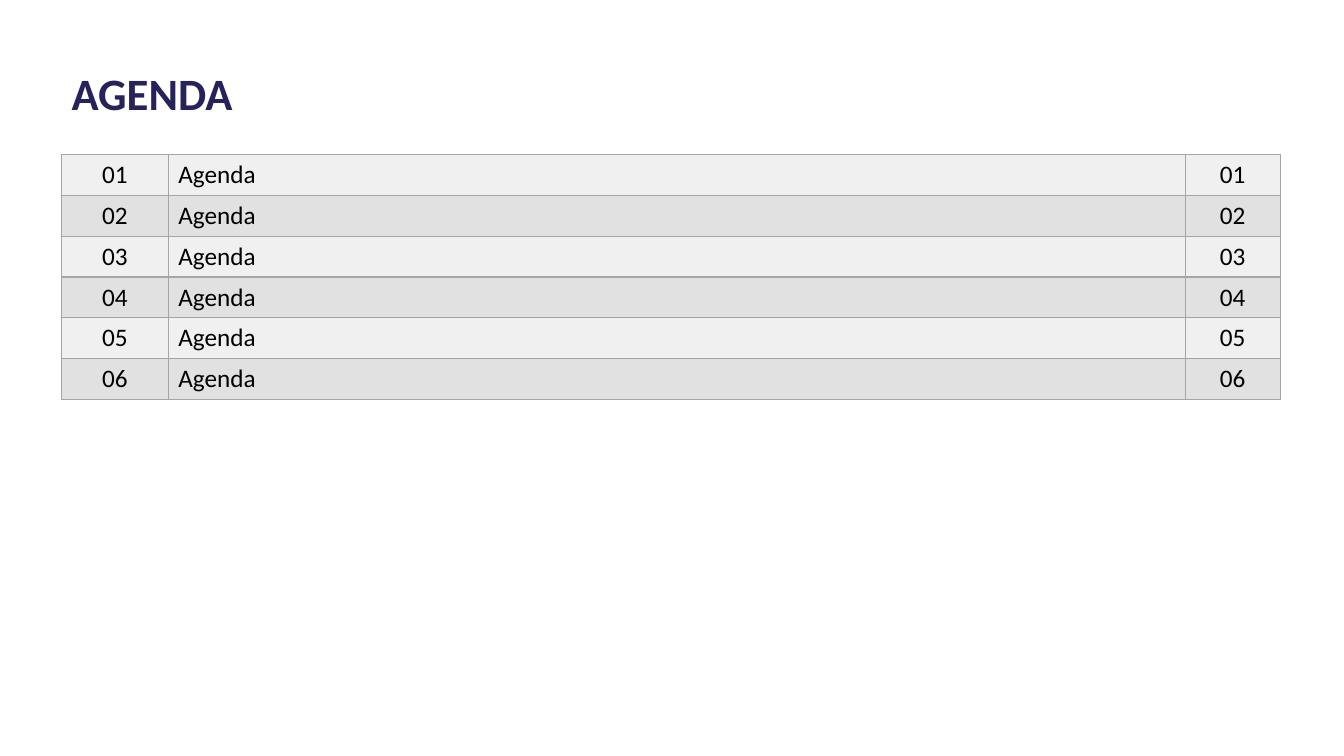
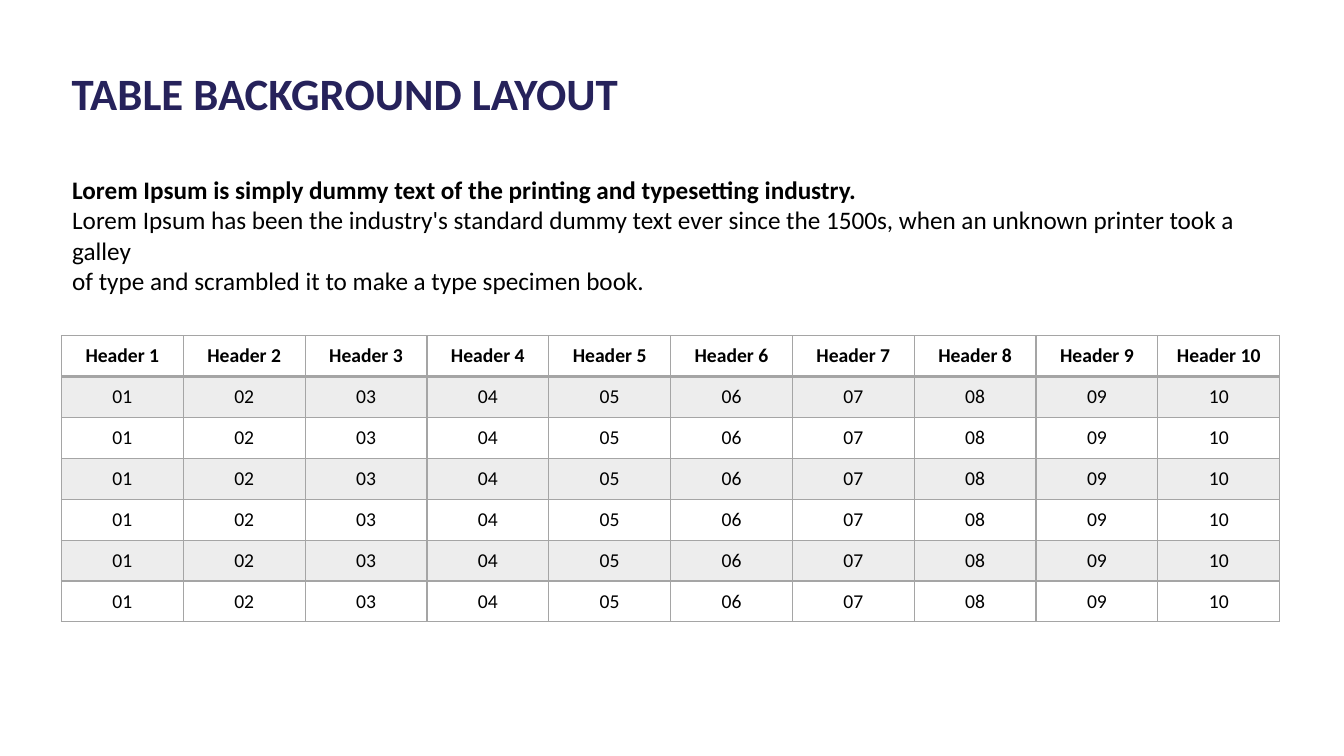
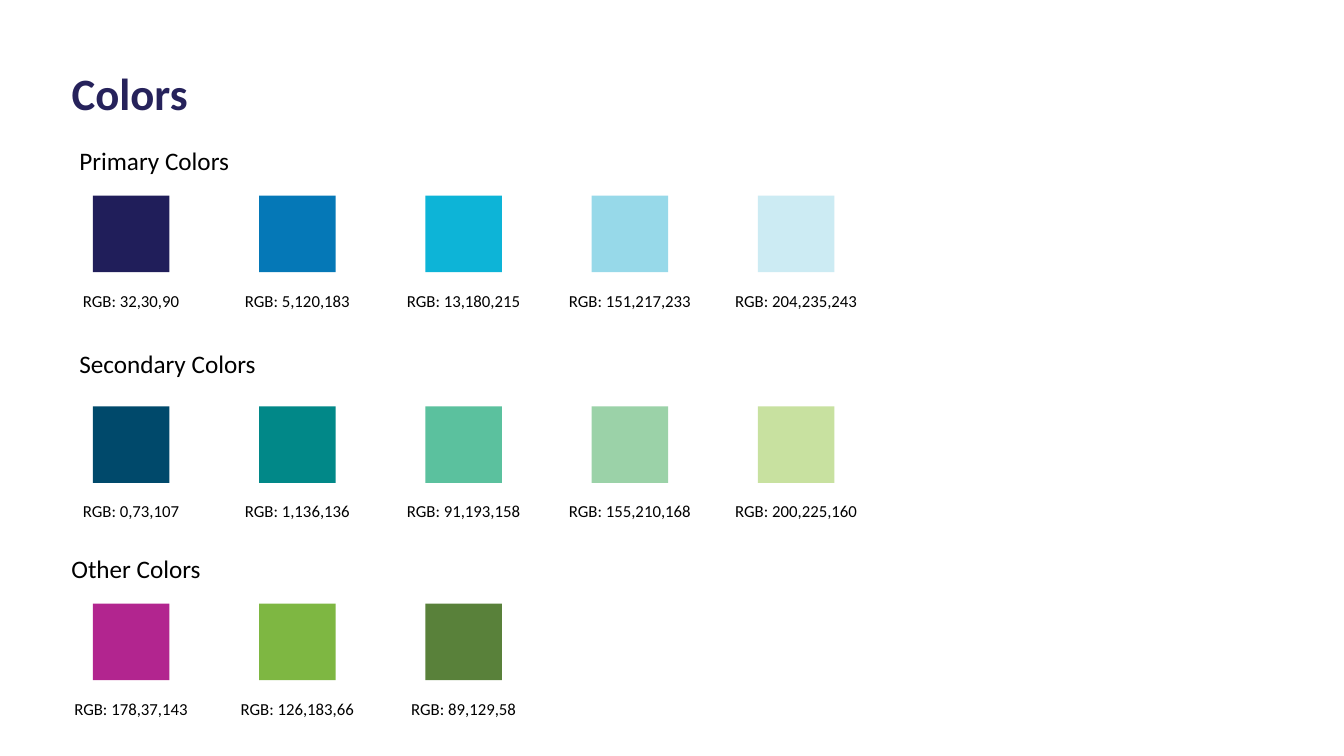
from dataclasses import dataclass

from lxml import etree
from pptx import Presentation
from pptx import util as u
from pptx.dml.color import RGBColor
from pptx.enum import shapes, text
from pptx.oxml import ns
from pptx.slide import Slide
from pptx.table import Table, _Cell
from pptx.text.text import TextFrame

FONT = "Calibri"
COLORS = {
    "title": "26225B",
    "text": "000000",
    "border": "A5A5A5",
    "band_light": "F0F0F0",
    "band_dark": "E1E1E1",
    "navy": "201E5A",
    "blue": "0578B7",
    "cyan": "0DB4D7",
    "sky": "97D9E9",
    "ice": "CCEBF3",
    "petrol": "00496B",
    "teal": "018888",
    "mint": "5BC19E",
    "sage": "9BD2A8",
    "lime": "C8E1A0",
    "magenta": "B2258F",
    "leaf": "7EB742",
    "moss": "59813A",
}
LEFT = 1.55
ROW_HEIGHT = 1.03
SWATCH_LEFT = 2.34
SWATCH_SIZE = 1.93
SWATCH_PITCH = 4.19
LABEL_DROP = 2.26
CENTER = text.PP_ALIGN.CENTER


@dataclass(frozen=True)
class Box:
    left: float
    top: float
    width: float
    height: float

    def lengths(self) -> tuple[u.Length, ...]:
        return tuple(u.Cm(v) for v in (self.left, self.top, self.width, self.height))


@dataclass(frozen=True)
class Swatch:
    color: str
    label_width: float


@dataclass(frozen=True)
class Palette:
    heading: str
    heading_left: float
    heading_top: float
    swatch_top: float
    swatches: tuple[Swatch, ...]


PALETTES = (
    Palette("Primary Colors", 1.75, 3.53, 4.93, (
        Swatch("navy", 3.12), Swatch("blue", 3.38), Swatch("cyan", 3.53),
        Swatch("sky", 3.81), Swatch("ice", 3.81))),
    Palette("Secondary Colors", 1.75, 8.66, 10.24, (
        Swatch("petrol", 3.12), Swatch("teal", 3.38), Swatch("mint", 3.53),
        Swatch("sage", 3.81), Swatch("lime", 3.81))),
    Palette("Other Colors", LEFT, 13.82, 15.21, (
        Swatch("magenta", 3.71), Swatch("leaf", 3.61), Swatch("moss", 3.53))),
)


def rgb(color: str) -> RGBColor:
    return RGBColor.from_string(COLORS[color])


def write(frame: TextFrame, content: str, *, size: float = 18, color: str = "text",
          bold_lines: int = 0, align: text.PP_ALIGN = text.PP_ALIGN.LEFT) -> None:
    for index, line in enumerate(content.split("\n")):
        paragraph = frame.add_paragraph() if index else frame.paragraphs[0]
        paragraph.alignment = align
        run = paragraph.add_run()
        run.text = line
        run.font.name = FONT
        run.font.size = u.Pt(size)
        run.font.bold = index < bold_lines
        run.font.color.rgb = rgb(color)


def add_text(slide: Slide, box: Box, content: str, **style) -> None:
    frame = slide.shapes.add_textbox(*box.lengths()).text_frame
    frame.word_wrap = True
    frame.auto_size = text.MSO_AUTO_SIZE.SHAPE_TO_FIT_TEXT
    write(frame, content, **style)


def add_titled_slide(deck, heading: str, width: float) -> Slide:
    slide = deck.slides.add_slide(deck.slide_layouts[5])
    title = slide.shapes.title
    title.left, title.top, title.width, title.height = Box(LEFT, 1.52, width, 1.63).lengths()
    frame = title.text_frame
    frame.word_wrap = False
    frame.auto_size = text.MSO_AUTO_SIZE.SHAPE_TO_FIT_TEXT
    frame.vertical_anchor = text.MSO_ANCHOR.TOP
    write(frame, heading, size=32, color="title", bold_lines=1)
    return slide


def add_grid(slide: Slide, top: float, columns: list[float], row_count: int) -> Table:
    box = Box(LEFT, top, sum(columns), ROW_HEIGHT * row_count)
    grid = slide.shapes.add_table(row_count, len(columns), *box.lengths()).table
    grid.first_row = grid.horz_banding = False
    for column, width in zip(grid.columns, columns):
        column.width = u.Cm(width)
    for row in grid.rows:
        row.height = u.Cm(ROW_HEIGHT)
    return grid


def set_borders(cell: _Cell, top: float = 1, bottom: float = 1) -> None:
    properties = cell._tc.get_or_add_tcPr()
    for side, width in (("L", 1), ("R", 1), ("T", top), ("B", bottom)):
        line = etree.SubElement(properties, ns.qn(f"a:ln{side}"), w=str(u.Pt(width)))
        fill = etree.SubElement(line, ns.qn("a:solidFill"))
        etree.SubElement(fill, ns.qn("a:srgbClr"), val=COLORS["border"])


def set_fill(cell: _Cell, color: str | None, opacity: int = 100) -> None:
    if color is None:
        cell.fill.background()
        return
    cell.fill.solid()
    cell.fill.fore_color.rgb = rgb(color)
    if opacity < 100:
        tint = cell._tc.tcPr.find(ns.qn("a:solidFill")).find(ns.qn("a:srgbClr"))
        etree.SubElement(tint, ns.qn("a:alpha"), val=str(opacity * 1000))


def fill_cell(cell: _Cell, content: str, **style) -> None:
    cell.vertical_anchor = text.MSO_ANCHOR.MIDDLE
    write(cell.text_frame, content, **style)


def build_agenda(deck) -> None:
    slide = add_titled_slide(deck, "AGENDA", 5.28)
    agenda = add_grid(slide, 3.89, [2.69, 25.63, 2.39], 6)
    for row in range(6):
        number = f"{row + 1:02}"
        for column, content in enumerate((number, "Agenda", number)):
            cell = agenda.cell(row, column)
            set_borders(cell)
            set_fill(cell, "band_dark" if row % 2 else "band_light")
            fill_cell(cell, content, align=text.PP_ALIGN.LEFT if column == 1 else CENTER)


def build_table_layout(deck) -> None:
    slide = add_titled_slide(deck, "TABLE BACKGROUND LAYOUT", 16.94)
    add_text(
        slide, Box(1.57, 4.27, 30.71, 3.33),
        "Lorem Ipsum is simply dummy text of the printing and typesetting industry.\n"
        "Lorem Ipsum has been the industry's standard dummy text ever since the 1500s, "
        "when an unknown printer took a galley\n"
        "of type and scrambled it to make a type specimen book.",
        bold_lines=1)
    data = add_grid(slide, 8.46, [3.07] * 10, 7)
    for row in range(7):
        for column in range(10):
            cell = data.cell(row, column)
            set_borders(cell, top=2 if row == 1 else 1, bottom=2 if row == 0 else 1)
            set_fill(cell, "border" if row % 2 else None, opacity=20)
            content = f"{column + 1:02}" if row else f"Header {column + 1}"
            fill_cell(cell, content, size=14, bold_lines=int(row == 0), align=CENTER)


def add_swatch(slide: Slide, swatch: Swatch, left: float, top: float) -> None:
    box = Box(left, top, SWATCH_SIZE, SWATCH_SIZE)
    square = slide.shapes.add_shape(shapes.MSO_SHAPE.RECTANGLE, *box.lengths())
    square.shadow.inherit = False
    square.fill.solid()
    square.fill.fore_color.rgb = rgb(swatch.color)
    square.line.fill.background()
    label_left = left + (SWATCH_SIZE - swatch.label_width) / 2
    values = ",".join(str(part) for part in rgb(swatch.color))
    add_text(slide, Box(label_left, top + LABEL_DROP, swatch.label_width, 0.76),
             f"RGB: {values}", size=12, align=CENTER)


def build_colors(deck) -> None:
    slide = add_titled_slide(deck, "Colors", 3.91)
    for palette in PALETTES:
        add_text(slide, Box(palette.heading_left, palette.heading_top, 14.81, 1.02),
                 palette.heading)
        for index, swatch in enumerate(palette.swatches):
            add_swatch(slide, swatch, SWATCH_LEFT + index * SWATCH_PITCH, palette.swatch_top)


def main() -> None:
    deck = Presentation()
    deck.slide_width, deck.slide_height = u.Cm(33.87), u.Cm(19.05)
    build_agenda(deck)
    build_table_layout(deck)
    build_colors(deck)
    deck.save("out.pptx")


if __name__ == "__main__":
    main()
